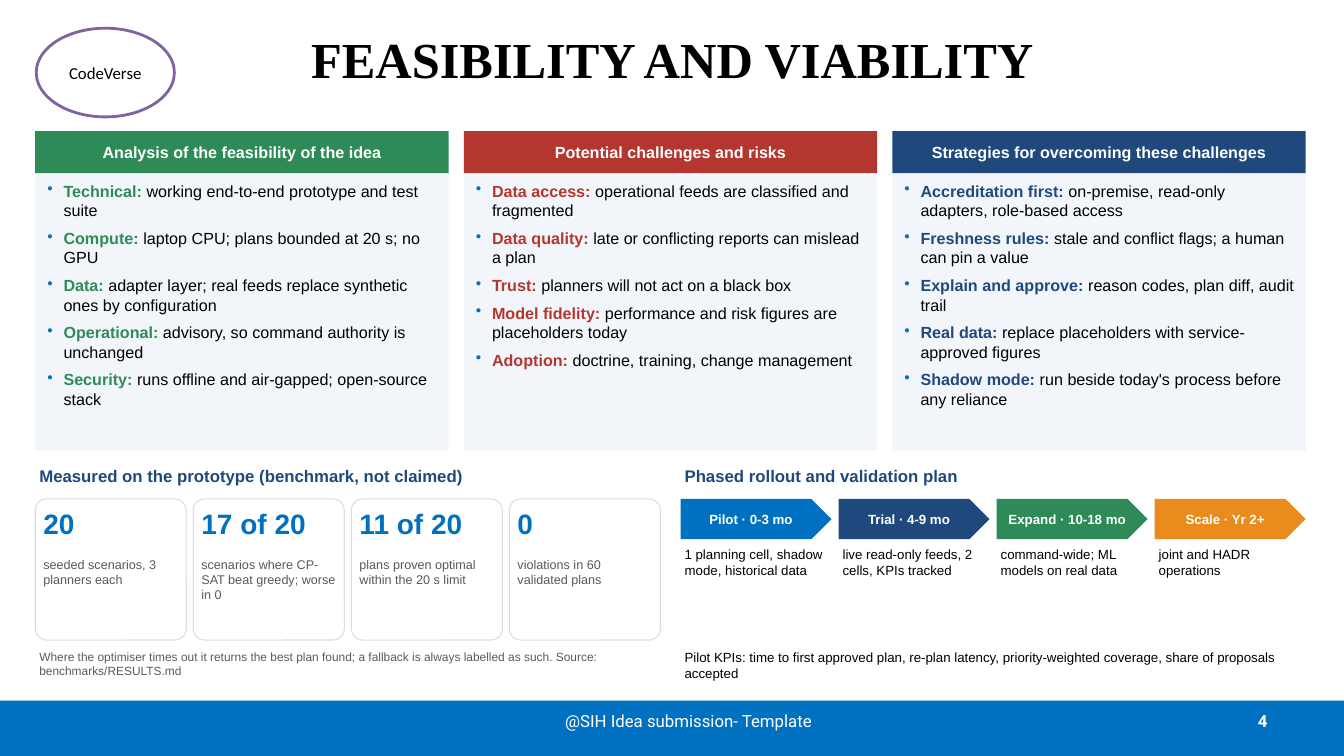
import collections

import lxml.etree
import pptx
import pptx.dml.color
import pptx.enum.shapes
import pptx.enum.text
import pptx.oxml.ns
import pptx.util

SHAPES = pptx.enum.shapes.MSO_SHAPE
ALIGN = pptx.enum.text.PP_ALIGN
ANCHOR = pptx.enum.text.MSO_ANCHOR
Box = collections.namedtuple("Box", "left top width height")

WIDTH, HEIGHT = 13.33, 7.5
BLUE, NAVY, GREEN, RED, ORANGE = "0070C0", "1F497D", "2E8B57", "B3372F", "E98B1D"
WHITE, BLACK, GREY = "FFFFFF", "000000", "595959"
PALE, BORDER, PURPLE = "F2F6FA", "D5DEE9", "8064A2"
TIGHT = (0.04, 0.02)
EVEN = (0.05, 0.05)

ANALYSIS = [
    ("Analysis of the feasibility of the idea", GREEN, [
        ("Technical: ", "working end-to-end prototype and test suite"),
        ("Compute: ", "laptop CPU; plans bounded at 20 s; no GPU"),
        ("Data: ", "adapter layer; real feeds replace synthetic ones by configuration"),
        ("Operational: ", "advisory, so command authority is unchanged"),
        ("Security: ", "runs offline and air-gapped; open-source stack")]),
    ("Potential challenges and risks", RED, [
        ("Data access: ", "operational feeds are classified and fragmented"),
        ("Data quality: ", "late or conflicting reports can mislead a plan"),
        ("Trust: ", "planners will not act on a black box"),
        ("Model fidelity: ", "performance and risk figures are placeholders today"),
        ("Adoption: ", "doctrine, training, change management")]),
    ("Strategies for overcoming these challenges", NAVY, [
        ("Accreditation first: ", "on-premise, read-only adapters, role-based access"),
        ("Freshness rules: ", "stale and conflict flags; a human can pin a value"),
        ("Explain and approve: ", "reason codes, plan diff, audit trail"),
        ("Real data: ", "replace placeholders with service-approved figures"),
        ("Shadow mode: ", "run beside today's process before any reliance")]),
]
METRICS = [
    ("20", "seeded scenarios, 3 planners each"),
    ("17 of 20", "scenarios where CP-SAT beat greedy; worse in 0"),
    ("11 of 20", "plans proven optimal within the 20 s limit"),
    ("0", "violations in 60 validated plans"),
]
PHASES = [
    ("Pilot · 0-3 mo", BLUE, "1 planning cell, shadow mode, historical data"),
    ("Trial · 4-9 mo", NAVY, "live read-only feeds, 2 cells, KPIs tracked"),
    ("Expand · 10-18 mo", GREEN, "command-wide; ML models on real data"),
    ("Scale · Yr 2+", ORANGE, "joint and HADR operations"),
]
SOURCE_NOTE = ("Where the optimiser times out it returns the best plan found; a fallback is "
               "always labelled as such. Source: benchmarks/RESULTS.md")
KPI_NOTE = ("Pilot KPIs: time to first approved plan, re-plan latency, priority-weighted "
            "coverage, share of proposals accepted")


def color(value):
    return pptx.dml.color.RGBColor.from_string(value)


def inches(box):
    return [pptx.util.Inches(length) for length in box]


def columns(box, count, gap):
    width = (box.width - gap * (count - 1)) / count
    return [box._replace(left=box.left + index * (width + gap), width=width)
            for index in range(count)]


def row(box, offset, height):
    return box._replace(top=box.top + offset, height=height)


def add_span(para, text, size=11.5, font="Arial", ink=BLACK, bold=False):
    span = para.add_run()
    span.text = text
    span.font.size = pptx.util.Pt(size)
    span.font.name = font
    span.font.bold = bold
    span.font.color.rgb = color(ink)


def set_frame(frame, inset, anchor, wrap=True):
    frame.word_wrap = wrap
    frame.vertical_anchor = anchor
    frame.margin_left = frame.margin_right = pptx.util.Inches(inset[0])
    frame.margin_top = frame.margin_bottom = pptx.util.Inches(inset[1])


def add_text(page, box, text, align=ALIGN.LEFT, anchor=ANCHOR.TOP, inset=TIGHT, **style):
    frame = page.shapes.add_textbox(*inches(box)).text_frame
    set_frame(frame, inset, anchor)
    frame.paragraphs[0].alignment = align
    add_span(frame.paragraphs[0], text, **style)


def add_shape(page, kind, box, fill, line=None, weight=1, text=None, wrap=True, **style):
    shape = page.shapes.add_shape(kind, *inches(box))
    shape.shadow.inherit = False
    shape.fill.solid()
    shape.fill.fore_color.rgb = color(fill)
    if line:
        shape.line.color.rgb = color(line)
        shape.line.width = pptx.util.Pt(weight)
    else:
        shape.line.fill.background()
    if text:
        set_frame(shape.text_frame, EVEN, ANCHOR.MIDDLE, wrap)
        para = shape.text_frame.paragraphs[0]
        para.alignment = ALIGN.CENTER
        add_span(para, text, **style)
    return shape


def add_bullet(para):
    para.space_after = pptx.util.Pt(6)
    properties = para._p.get_or_add_pPr()
    properties.set("marL", str(pptx.util.Inches(0.16)))
    properties.set("indent", str(pptx.util.Inches(-0.16)))
    tag = pptx.oxml.ns.qn
    tint = lxml.etree.SubElement(properties, tag("a:buClr"))
    lxml.etree.SubElement(tint, tag("a:srgbClr"), val=BLUE)
    lxml.etree.SubElement(properties, tag("a:buChar"), char="•")


def header(page, box):
    add_text(page, box, "FEASIBILITY AND VIABILITY", align=ALIGN.CENTER,
             anchor=ANCHOR.MIDDLE, size=36, font="Times New Roman", bold=True)
    add_shape(page, SHAPES.OVAL, Box(0.36, 0.28, 1.37, 0.88), WHITE, line=PURPLE, weight=2,
              text="CodeVerse", wrap=False, size=12, font="Calibri")


def footer(page, box):
    add_shape(page, SHAPES.RECTANGLE, box, BLUE)
    style = dict(anchor=ANCHOR.MIDDLE, inset=(0.1, 0.05), size=12, font="Roboto", ink=WHITE)
    label = row(box, 0, 0.4)
    add_text(page, label._replace(left=5.08, width=3.5), "@SIH Idea submission- Template",
             align=ALIGN.CENTER, **style)
    add_text(page, label._replace(left=9.56, width=3.11), "4", align=ALIGN.RIGHT,
             bold=True, **style)


def analysis_card(page, box, heading, accent, points):
    band = 0.42
    add_shape(page, SHAPES.RECTANGLE, row(box, 0, band), accent, text=heading,
              ink=WHITE, bold=True)
    add_shape(page, SHAPES.RECTANGLE, row(box, band, box.height - band), PALE)
    body = Box(box.left + 0.08, box.top + 0.48, box.width - 0.15, 2.65)
    frame = page.shapes.add_textbox(*inches(body)).text_frame
    set_frame(frame, TIGHT, ANCHOR.TOP)
    for index, (label, detail) in enumerate(points):
        para = frame.add_paragraph() if index else frame.paragraphs[0]
        add_bullet(para)
        add_span(para, label, ink=accent, bold=True)
        add_span(para, detail)


def metric_card(page, box, figure, caption):
    card = add_shape(page, SHAPES.ROUNDED_RECTANGLE, box, WHITE, line=BORDER, weight=0.75)
    card.adjustments[0] = 0.08
    inner = box._replace(left=box.left + 0.04, width=box.width - 0.08)
    add_text(page, row(inner, 0.05, 0.5), figure, size=20, ink=BLUE, bold=True)
    add_text(page, row(inner, 0.55, 0.85), caption, size=9, ink=GREY)


def phase_step(page, box, period, accent, detail):
    add_shape(page, SHAPES.PENTAGON, row(box, 0, 0.4), accent, text=period,
              size=9.5, ink=WHITE, bold=True)
    add_text(page, row(box, 0.45, 0.95), detail, size=9.5)


def lower_panel(page, box, heading, place_item, items, note, **note_style):
    add_text(page, row(box, 0, 0.3), heading, size=12, ink=NAVY, bold=True)
    for slot, item in zip(columns(row(box, 0.35, 1.4), len(items), 0.07), items):
        place_item(page, slot, *item)
    add_text(page, row(box, 1.82, 0.45), note, **note_style)


def main():
    deck = pptx.Presentation()
    deck.slide_width, deck.slide_height = inches((WIDTH, HEIGHT))
    page = deck.slides.add_slide(deck.slide_layouts[6])

    # Footer bar and header
    footer(page, Box(0, 6.95, WIDTH, 0.55))
    header(page, Box(0.67, 0, 12, 1.15))

    # Three analysis columns
    content = Box(0.35, 1.3, 12.6, 3.17)
    for slot, card in zip(columns(content, len(ANALYSIS), 0.15), ANALYSIS):
        analysis_card(page, slot, *card)

    # Benchmark results and rollout plan
    measured, rollout = columns(row(content, 3.3, 2.27), 2, 0.2)
    lower_panel(page, measured, "Measured on the prototype (benchmark, not claimed)",
                metric_card, METRICS, SOURCE_NOTE, size=8.5, ink=GREY)
    lower_panel(page, rollout, "Phased rollout and validation plan",
                phase_step, PHASES, KPI_NOTE, size=9.5)

    deck.save("out.pptx")


if __name__ == "__main__":
    main()
